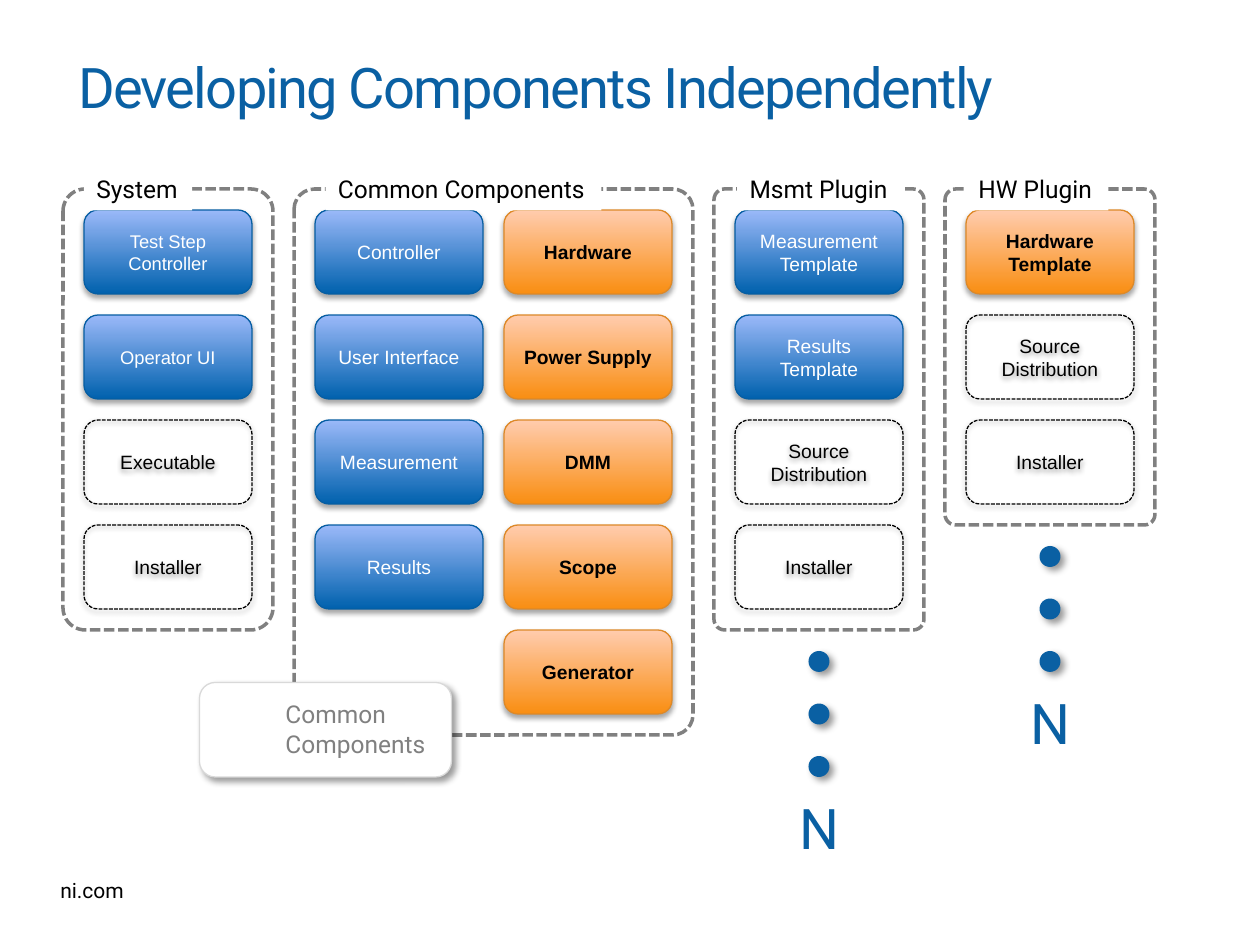
from lxml.etree import SubElement
from pptx import Presentation
from pptx.dml.color import RGBColor
from pptx.enum.dml import MSO_LINE
from pptx.enum.shapes import MSO_SHAPE
from pptx.enum.text import MSO_ANCHOR, MSO_AUTO_SIZE, PP_ALIGN
from pptx.oxml.ns import qn
from pptx.util import Inches, Pt

WHITE = RGBColor(0xFF, 0xFF, 0xFF)
BLACK = RGBColor(0, 0, 0)
BLUE = RGBColor(0x0A, 0x60, 0xA3)
GRAY = RGBColor(0x80, 0x80, 0x80)
PALE = RGBColor(0xD9, 0xD9, 0xD9)
COOL = (RGBColor(0x00, 0x61, 0xAD), RGBColor(0x9B, 0xB9, 0xF9), RGBColor(0x06, 0x5E, 0xA3))
WARM = (RGBColor(0xF9, 0x8E, 0x12), RGBColor(0xFF, 0xCC, 0xAE), RGBColor(0xDD, 0x89, 0x28))

UNIT = Inches(10) / 60
CARD_W, CARD_H = 8, 4
STEP_X, STEP_Y = 9, 5
DOT_STEP = 2.5

PANELS = [
    ((3, 9, 10, 21), 0.106, "System", (1, 5.16), [
        [("Test Step Controller", "cool", 10.5), ("Operator UI", "cool", 10.5),
         ("Executable", "open", 11), ("Installer", "open", 11)]]),
    ((14, 9, 19, 26), 0.051, "Common Components", (1.5, 13.14), [
        [(name, "cool", 11) for name in
         ("Controller", "User Interface", "Measurement", "Results")],
        [(name, "warm", 11) for name in
         ("Hardware", "Power Supply", "DMM", "Scope", "Generator")]]),
    ((34, 9, 10, 21), 0.051, "Msmt Plugin", (1.1, 7.86), [
        [("Measurement Template", "cool", 11), ("Results Template", "cool", 11),
         ("Source\nDistribution", "open", 11), ("Installer", "open", 11)]]),
    ((45, 9, 10, 16), 0.051, "HW Plugin", (1, 6.78), [
        [("Hardware\nTemplate", "warm", 11), ("Source\nDistribution", "open", 11),
         ("Installer", "open", 11)]]),
]


def place(box):
    """Turn a box in grid units into slide lengths."""
    return [round(part * UNIT) for part in box]


def write(shape, text, size, color, font="Roboto", align=PP_ALIGN.LEFT, bold=False):
    """Put styled text in a shape."""
    frame = shape.text_frame
    frame.text = text
    frame.word_wrap = True
    for para in frame.paragraphs:
        para.alignment = align
        for run in para.runs:
            run.font.name = font
            run.font.size = Pt(size)
            run.font.bold = bold
            run.font.color.rgb = color
    return frame


def draw(shapes, kind, box, fill=None, line=None, width=0.75, dash=None):
    """Add a plain shape without a shadow."""
    shape = shapes.add_shape(kind, *place(box))
    shape.shadow.inherit = False
    if fill is None:
        shape.fill.background()
    else:
        shape.fill.solid()
        shape.fill.fore_color.rgb = fill
    if line is None:
        shape.line.fill.background()
    else:
        shape.line.color.rgb = line
        shape.line.width = Pt(width)
        if dash:
            shape.line.dash_style = dash
    return shape


def shade(shape, alpha, blur, dist, angle):
    """Give a shape a soft black outer shadow."""
    effects = shape.element.spPr.find(qn("a:effectLst"))
    outer = SubElement(effects, qn("a:outerShdw"), blurRad=str(Pt(blur)),
                       dist=str(Pt(dist)), dir=str(angle * 60000), rotWithShape="0")
    color = SubElement(outer, qn("a:srgbClr"), val="000000")
    SubElement(color, qn("a:alpha"), val=str(alpha * 1000))


def add_label(slide, box, text, size=14, fill=None):
    """Add one line of text that hugs its box."""
    shape = draw(slide.shapes, MSO_SHAPE.RECTANGLE, box, fill)
    frame = write(shape, text, size, BLACK)
    frame.word_wrap = False
    frame.vertical_anchor = MSO_ANCHOR.TOP
    frame.auto_size = MSO_AUTO_SIZE.SHAPE_TO_FIT_TEXT


def add_card(slide, box, text, style, size):
    """Add one component card."""
    kind = MSO_SHAPE.ROUNDED_RECTANGLE
    if style == "open":
        card = draw(slide.shapes, kind, box, line=BLACK, dash=MSO_LINE.SQUARE_DOT)
        shade(card, 38, 3.1, 1.6, 90)
    else:
        low, high, edge = COOL if style == "cool" else WARM
        card = draw(slide.shapes, kind, box, line=edge)
        card.fill.gradient()
        card.fill.gradient_angle = 90
        for stop, color in zip(card.fill.gradient_stops, (low, high)):
            stop.color.rgb = color
        shade(card, 35, 3.1, 1.8, 90)
    ink = WHITE if style == "cool" else BLACK
    frame = write(card, text, size, ink, "Arial", PP_ALIGN.CENTER, style == "warm")
    frame.vertical_anchor = MSO_ANCHOR.MIDDLE


def add_panel(slide, box, curve, name, label, columns):
    """Add a dashed panel with its label and columns of cards."""
    left, top, _, _ = box
    panel = draw(slide.shapes, MSO_SHAPE.ROUNDED_RECTANGLE, box, WHITE, GRAY, 2,
                 MSO_LINE.SQUARE_DOT)
    panel.adjustments[0] = curve
    for col, cards in enumerate(columns):
        for row, card in enumerate(cards):
            spot = (left + 1 + col * STEP_X, top + 1 + row * STEP_Y, CARD_W, CARD_H)
            add_card(slide, spot, *card)
    shift, width = label
    add_label(slide, (left + shift, top - 1, width, 2.02), name, fill=WHITE)


def add_dots(slide, box):
    """Add three dots and an N below a panel."""
    left, top, width, height = box
    start = top + height + 1
    for step in range(3):
        spot = (left + (width - 1) / 2, start + step * DOT_STEP, 1, 1)
        shade(draw(slide.shapes, MSO_SHAPE.OVAL, spot, BLUE), 40, 4, 3, 45)
    text = slide.shapes.add_textbox(*place((left, start + 6.5, width, 3.84)))
    write(text, "N", 32, BLUE, align=PP_ALIGN.CENTER)


def add_badge(slide, box):
    """Add the grouped badge over the panel's corner."""
    left, top, width, height = box
    group = slide.shapes.add_group_shape()
    card = draw(group.shapes, MSO_SHAPE.ROUNDED_RECTANGLE, box, WHITE, PALE)
    shade(card, 40, 4, 3, 45)
    spot = (left + 3.5, top + 0.5, width - 3.5, height - 1)
    text = group.shapes.add_textbox(*place(spot))
    write(text, "Common\nComponents", 14, GRAY)


def add_title(slide, box):
    """Place and style the title."""
    title = slide.shapes.title
    title.left, title.top, title.width, title.height = place(box)
    frame = write(title, "Developing Components Independently", 32, BLUE)
    frame.vertical_anchor = MSO_ANCHOR.MIDDLE
    frame.auto_size = MSO_AUTO_SIZE.NONE
    for run in frame.paragraphs[0].runs:
        run.font.element.set("spc", "-100") if hasattr(run.font, "element") else \
            run._r.get_or_add_rPr().set("spc", "-100")


def main():
    """Build and save the slide."""
    deck = Presentation()
    deck.slide_width, deck.slide_height = Inches(10), Inches(7.5)
    slide = deck.slides.add_slide(deck.slide_layouts[5])
    add_label(slide, (2.28, 41.5, 4.26, 1.8), "ni.com", 12)
    add_title(slide, (3.12, 0.96, 53.58, 6.3))
    for panel in PANELS:
        add_panel(slide, *panel)
    for box, *_ in PANELS[2:]:
        add_dots(slide, box)
    add_badge(slide, (9.5, 32.5, 12, 4.5))
    deck.save("out.pptx")


if __name__ == "__main__":
    main()
